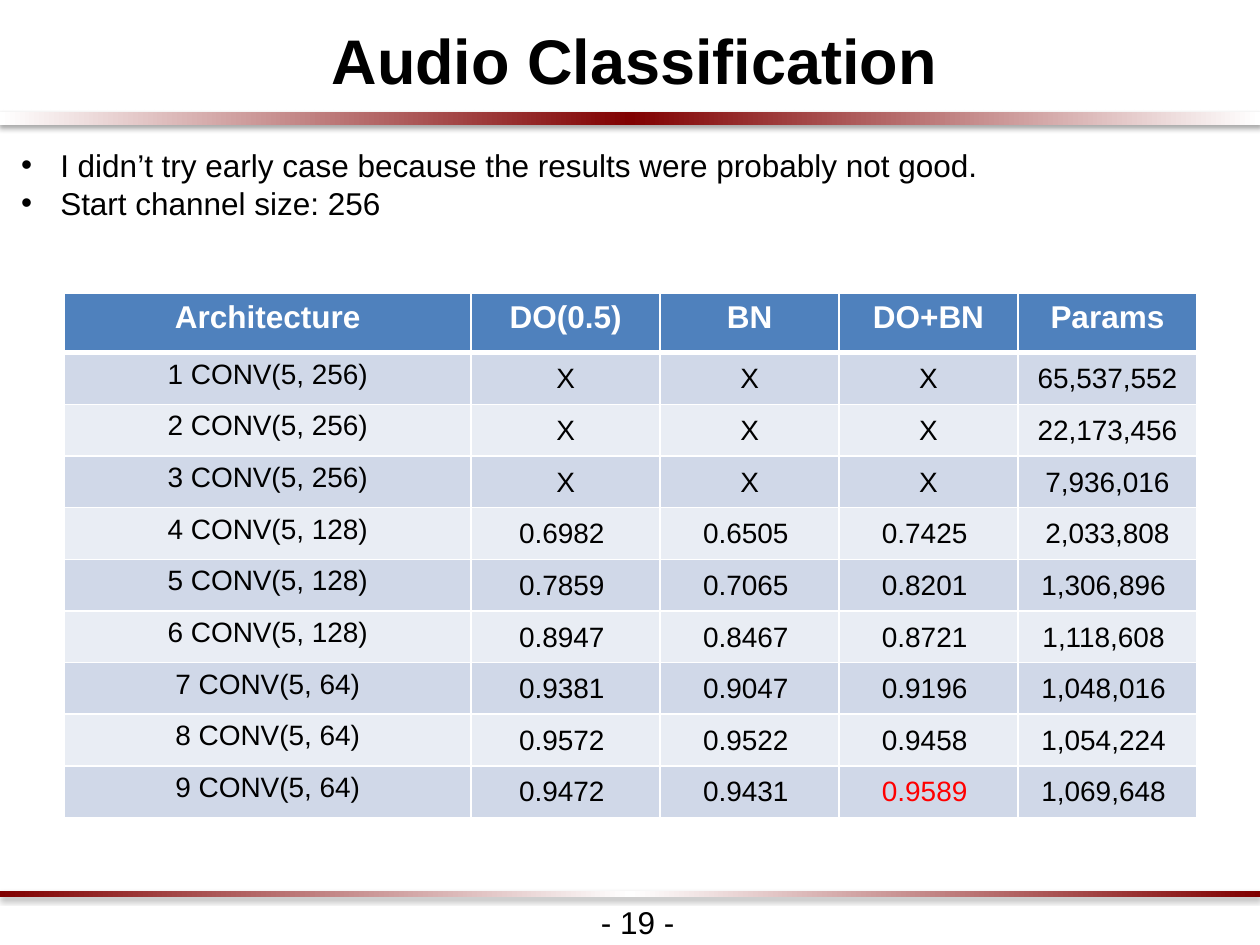
from lxml.etree import SubElement
from pptx import Presentation
from pptx.dml.color import RGBColor
from pptx.enum.shapes import MSO_SHAPE
from pptx.enum.text import MSO_ANCHOR, MSO_AUTO_SIZE, PP_ALIGN
from pptx.oxml import parse_xml
from pptx.oxml.ns import nsdecls, qn
from pptx.util import Inches, Pt

BLACK, WHITE, RED, MAROON = "000000", "FFFFFF", "FF0000", "800000"
HEADER_FILL, BANDS = "4F81BD", ("D0D8E8", "E9EDF4")

BULLETS = [
    "I didn’t try early case because the results were probably not good.",
    "Start channel size: 256",
]
HEADERS = ["Architecture", "DO(0.5)", "BN", "DO+BN", "Params"]
RESULTS = [
    ["1 CONV(5, 256)", "X", "X", "X", "65,537,552"],
    ["2 CONV(5, 256)", "X", "X", "X", "22,173,456"],
    ["3 CONV(5, 256)", "X", "X", "X", "7,936,016"],
    ["4 CONV(5, 128)", "0.6982 ", "0.6505 ", "0.7425 ", "2,033,808"],
    ["5 CONV(5, 128)", "0.7859 ", "0.7065 ", "0.8201 ", "1,306,896 "],
    ["6 CONV(5, 128)", "0.8947 ", "0.8467 ", "0.8721 ", "1,118,608 "],
    ["7 CONV(5, 64)", "0.9381 ", "0.9047 ", "0.9196 ", "1,048,016 "],
    ["8 CONV(5, 64)", "0.9572 ", "0.9522 ", "0.9458 ", "1,054,224 "],
    ["9 CONV(5, 64)", "0.9472 ", "0.9431 ", "0.9589 ", "1,069,648 "],
]
BEST = "0.9589 "
COL_WIDTHS = [3.23, 1.5, 1.42, 1.42, 1.42]
HEADER_HEIGHT, ROW_HEIGHT = 0.47, 0.41


def rgb(color):
    return RGBColor.from_string(color)


def add_run(p, text, size, color=BLACK, bold=False):
    r = p.add_run()
    r.text = text
    r.font.name = "Arial"
    r.font.size = Pt(size)
    r.font.bold = bold
    r.font.color.rgb = rgb(color)


def set_margins(target, left, top, right, bottom):
    target.margin_left, target.margin_top = Inches(left), Inches(top)
    target.margin_right, target.margin_bottom = Inches(right), Inches(bottom)


def set_indent(p, left, first=0):
    pPr = p._p.get_or_add_pPr()
    pPr.set("marL", str(Inches(left)))
    pPr.set("indent", str(Inches(first)))
    return pPr


def add_bar(s, top, height, edge, middle):
    """Full-width rule fading between two colours, with a soft shadow."""
    sp = s.shapes.add_shape(
        MSO_SHAPE.RECTANGLE, 0, Inches(top), Inches(10), Inches(height))
    sp.line.fill.background()
    stops = "".join(
        f'<a:gs pos="{pos}"><a:srgbClr val="{color}"/></a:gs>'
        for pos, color in ((0, edge), (50000, middle), (100000, edge)))
    spPr = sp._element.spPr
    spPr.find(qn("a:prstGeom")).addnext(parse_xml(
        f'<a:gradFill {nsdecls("a")} rotWithShape="1"><a:gsLst>{stops}</a:gsLst>'
        '<a:lin ang="0" scaled="0"/></a:gradFill>'))
    spPr.append(parse_xml(
        f'<a:effectLst {nsdecls("a")}><a:outerShdw blurRad="{Pt(3.1)}" '
        f'dist="{Pt(1.8)}" dir="5400000" rotWithShape="0"><a:srgbClr val="{BLACK}">'
        '<a:alpha val="35000"/></a:srgbClr></a:outerShdw></a:effectLst>'))


def add_title(s, text):
    sp = s.shapes.title
    sp.left, sp.top = Inches(-0.23), Inches(0.03)
    sp.width, sp.height = Inches(10.45), Inches(0.79)
    tf = sp.text_frame
    tf.auto_size = MSO_AUTO_SIZE.NONE
    tf.vertical_anchor = MSO_ANCHOR.MIDDLE
    set_margins(tf, 0.1, 0.1, 0.1, 0.1)
    p = tf.paragraphs[0]
    p.alignment = PP_ALIGN.CENTER
    p.line_spacing = 1.15
    set_indent(p, 0.08)
    add_run(p, text, 36, bold=True)


def add_bullets(s, lines):
    tf = s.shapes.add_textbox(
        Inches(0.07), Inches(1.11), Inches(9.42), Inches(1.06)).text_frame
    tf.word_wrap = True
    for i, line in enumerate(lines):
        p = tf.add_paragraph() if i else tf.paragraphs[0]
        pPr = set_indent(p, 0.31, -0.31)
        SubElement(pPr, qn("a:buFont"), typeface="Arial")
        SubElement(pPr, qn("a:buChar"), char="•")
        add_run(p, line, 18)


def add_page_number(s, text):
    tf = s.shapes.add_textbox(
        Inches(4.67), Inches(7.12), Inches(0.79), Inches(0.4)).text_frame
    tf.word_wrap = False
    tf.auto_size = MSO_AUTO_SIZE.SHAPE_TO_FIT_TEXT
    add_run(tf.paragraphs[0], text, 18)


def set_borders(cell, top, bottom):
    tcPr = cell._tc.get_or_add_tcPr()
    sides = (("lnL", 1), ("lnR", 1), ("lnT", top), ("lnB", bottom))
    for i, (tag, width) in enumerate(sides):
        tcPr.insert(i, parse_xml(
            f'<a:{tag} {nsdecls("a")} w="{Pt(width)}"><a:solidFill>'
            f'<a:srgbClr val="{WHITE}"/></a:solidFill></a:{tag}>'))


def fill_cell(cell, text, size, color, fill, bold=False):
    cell.fill.solid()
    cell.fill.fore_color.rgb = rgb(fill)
    p = cell.text_frame.paragraphs[0]
    p.alignment = PP_ALIGN.CENTER
    add_run(p, text, size, color, bold)


def add_results_table(s):
    rows = [HEADERS] + RESULTS
    heights = [HEADER_HEIGHT] + [ROW_HEIGHT] * len(RESULTS)
    table = s.shapes.add_table(
        len(rows), len(HEADERS), Inches(0.51), Inches(2.33),
        Inches(sum(COL_WIDTHS)), Inches(sum(heights))).table
    for col, width in zip(table.columns, COL_WIDTHS):
        col.width = Inches(width)
    for i, (values, height) in enumerate(zip(rows, heights)):
        table.rows[i].height = Inches(height)
        for j, value in enumerate(values):
            cell = table.cell(i, j)
            if i == 0:
                fill_cell(cell, value, 18, WHITE, HEADER_FILL, bold=True)
            else:
                color = RED if value == BEST else BLACK
                fill_cell(cell, value, 16, color, BANDS[(i - 1) % 2])
                if j:
                    cell.vertical_anchor = MSO_ANCHOR.MIDDLE
                    set_margins(cell, 0.01, 0.01, 0.01, 0)
            # Thick rule between the header and the first result
            set_borders(cell, 3 if i == 1 else 1, 3 if i == 0 else 1)


def main():
    prs = Presentation()
    prs.slide_width, prs.slide_height = Inches(10), Inches(7.5)
    s = prs.slides.add_slide(prs.slide_layouts[5])

    # Rules under the title and above the page number
    add_bar(s, 0.89, 0.1, WHITE, MAROON)
    add_bar(s, 7.07, 0.05, MAROON, WHITE)

    # Content
    add_title(s, "Audio Classification")
    add_bullets(s, BULLETS)
    add_page_number(s, "- 19 -")
    add_results_table(s)

    prs.save("out.pptx")


if __name__ == "__main__":
    main()
